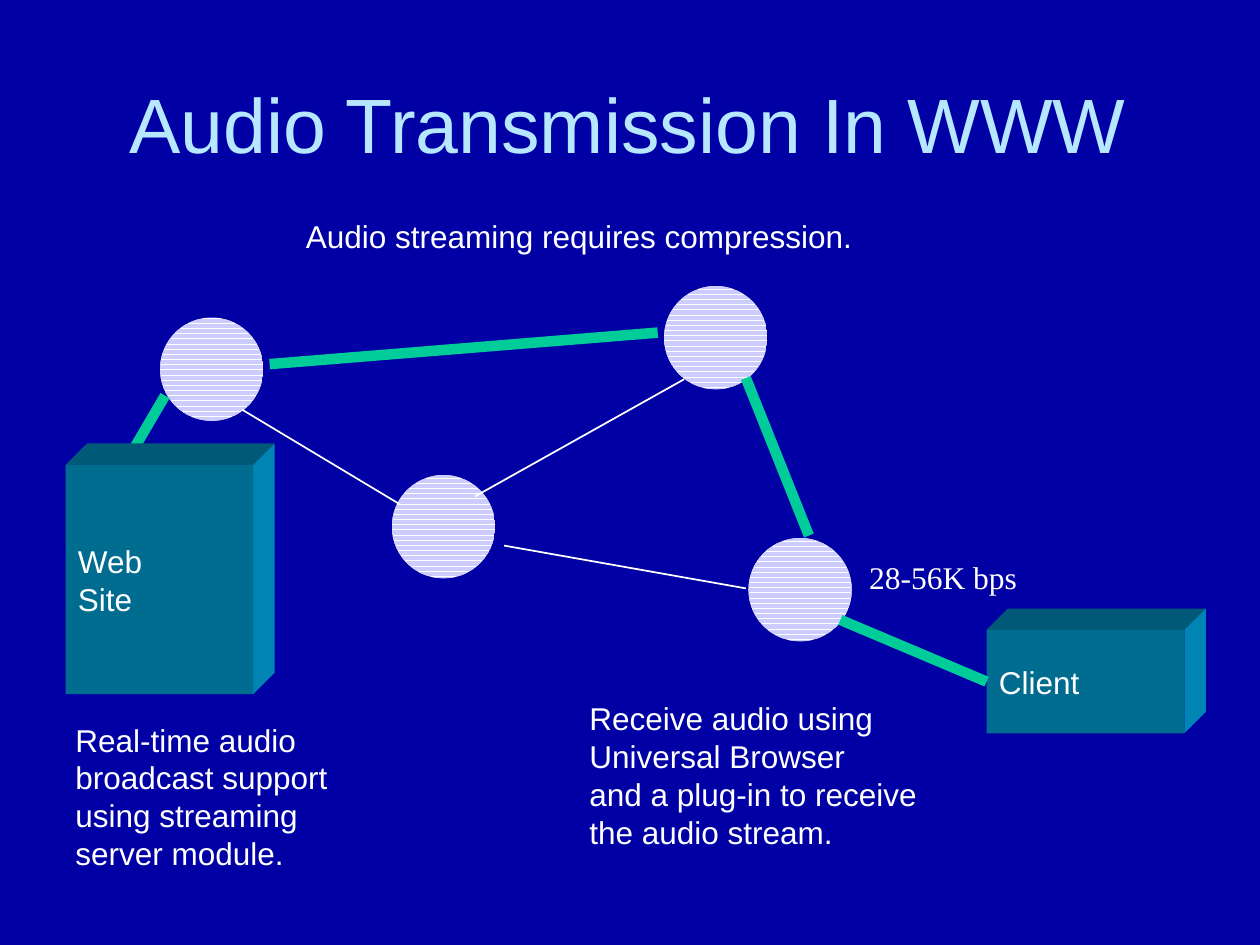
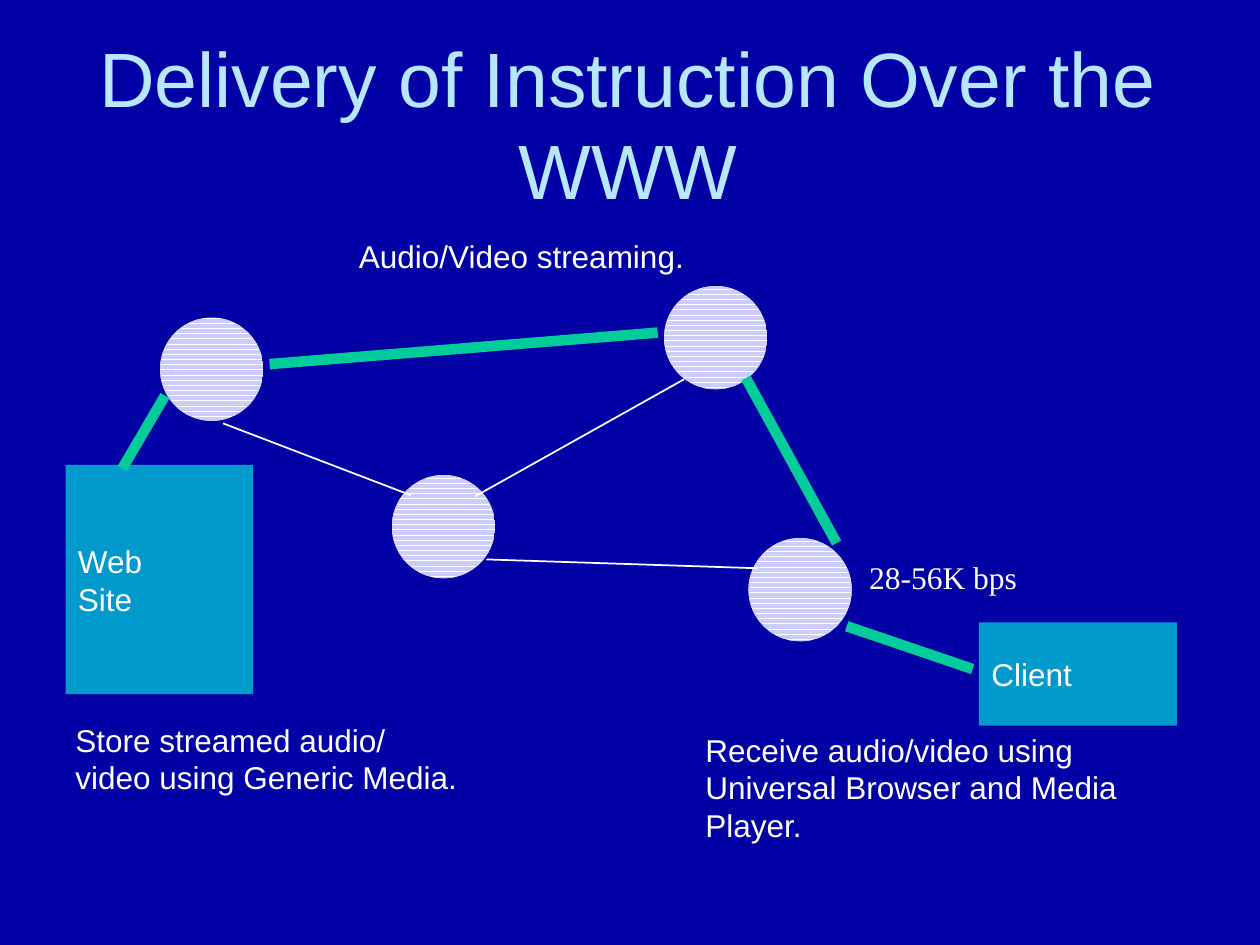
from lxml import etree
from pptx import Presentation
from pptx import util as u
from pptx.dml.color import RGBColor
from pptx.enum import dml, shapes, text
from pptx.oxml.ns import qn

Inches, Pt = u.Inches, u.Pt

# Shared style
NAVY = RGBColor(0x00, 0x00, 0xA4)
SKY = RGBColor(0xB7, 0xE7, 0xFF)
WHITE = RGBColor(0xFF, 0xFF, 0xFF)
LILAC = RGBColor(0xCC, 0xCC, 0xFF)
GREEN = RGBColor(0x00, 0xCC, 0x99)
CYAN = RGBColor(0x00, 0x99, 0xCC)
BLOCK_FRONT = RGBColor(0x00, 0x6C, 0x90)
BLOCK_TOP = RGBColor(0x00, 0x59, 0x77)
BLOCK_SIDE = RGBColor(0x00, 0x84, 0xB4)
SANS, SERIF = "Arial", "Times New Roman"
NODE_SIZE = 0.82
BLOCK_DEPTH = 0.17

# Network parts found on both slides
NODES = [(1.27, 2.52), (3.11, 3.77), (5.27, 2.27), (5.94, 4.27)]
SITE = (0.52, 3.69, 1.49, 1.82)
TOP_ROUTE = ((2.14, 2.89), (5.22, 2.64))
SITE_ROUTE = ((0.97, 3.72), (1.31, 3.14))
MIDDLE_LINK = ((3.77, 3.94), (5.43, 3.01))


class Deck:
    def __init__(self):
        self.prs = Presentation()
        self.prs.slide_width, self.prs.slide_height = Inches(10), Inches(7.5)
        self.slide = None

    def new_slide(self, heading):
        self.slide = self.prs.slides.add_slide(self.prs.slide_layouts[5])
        self.slide.background.fill.solid()
        self.slide.background.fill.fore_color.rgb = NAVY
        title = self.slide.shapes.title
        title.left, title.top = Inches(0.33), Inches(0.25)
        title.width, title.height = Inches(9.31), Inches(1.45)
        self.set_text(title, [heading], 44, SKY, align=text.PP_ALIGN.CENTER)

    def set_text(self, shape, lines, size=18, color=WHITE, font=SANS,
                 align=text.PP_ALIGN.LEFT, anchor=text.MSO_ANCHOR.MIDDLE):
        frame = shape.text_frame
        frame.text = "\n".join(lines)
        frame.word_wrap = True
        frame.auto_size = text.MSO_AUTO_SIZE.NONE
        frame.vertical_anchor = anchor
        for paragraph in frame.paragraphs:
            paragraph.alignment = align
            for run in paragraph.runs:
                run.font.size, run.font.name = Pt(size), font
                run.font.color.rgb = color

    def paint(self, shape, color):
        shape.shadow.inherit = False
        shape.line.fill.background()
        shape.fill.solid()
        shape.fill.fore_color.rgb = color

    def node(self, left, top):
        circle = self.slide.shapes.add_shape(
            shapes.MSO_SHAPE.OVAL, Inches(left), Inches(top),
            Inches(NODE_SIZE), Inches(NODE_SIZE))
        circle.shadow.inherit = False
        circle.line.fill.background()
        circle.fill.patterned()
        circle.fill.pattern = dml.MSO_PATTERN.DARK_HORIZONTAL
        circle.fill.fore_color.rgb = LILAC
        circle.fill.back_color.rgb = WHITE

    def line(self, start, end, color, width):
        ends = [Inches(value) for value in (*start, *end)]
        connector = self.slide.shapes.add_connector(
            shapes.MSO_CONNECTOR.STRAIGHT, *ends)
        connector.line.color.rgb = color
        connector.line.width = Pt(width)
        etree.SubElement(connector._element.spPr, qn("a:effectLst"))
        return connector

    def link(self, start, end):
        return self.line(start, end, WHITE, 1)

    def route(self, start, end):
        return self.line(start, end, GREEN, 6)

    def box(self, place, lines, color=CYAN):
        box = self.slide.shapes.add_shape(
            shapes.MSO_SHAPE.RECTANGLE, *[Inches(value) for value in place])
        self.paint(box, color)
        self.set_text(box, lines)
        return box

    def face(self, points, color):
        corners = [(Inches(x), Inches(y)) for x, y in points]
        builder = self.slide.shapes.build_freeform(*corners[0])
        builder.add_line_segments(corners[1:], close=True)
        self.paint(builder.convert_to_shape(), color)

    def block(self, place, lines):
        left, top, width, height = place
        right, bottom, depth = left + width, top + height, BLOCK_DEPTH
        back_right = (right + depth, top - depth)
        self.face([(left, top), (left + depth, top - depth), back_right,
                   (right, top)], BLOCK_TOP)
        self.face([(right, top), back_right, (right + depth, bottom - depth),
                   (right, bottom)], BLOCK_SIDE)
        return self.box(place, lines, BLOCK_FRONT)

    def note(self, place, lines, font=SANS, anchor=text.MSO_ANCHOR.TOP):
        note = self.slide.shapes.add_textbox(*[Inches(value) for value in place])
        self.set_text(note, lines, font=font, anchor=anchor)

    def network(self, links, exit_route):
        for place in NODES:
            self.node(*place)
        self.route(*TOP_ROUTE)
        self.link(*MIDDLE_LINK)
        for ends in links:
            self.link(*ends)
        self.route(*exit_route)
        self.note((6.8, 4.33, 1.77, 0.5), ["28-56K bps"], SERIF,
                  text.MSO_ANCHOR.MIDDLE)


def audio_slide(deck):
    deck.new_slide("Audio Transmission In WWW")
    deck.network(links=[((4, 4.33), (5.92, 4.67)), ((1.92, 3.25), (3.17, 4))],
                 exit_route=((5.92, 3), (6.42, 4.25)))
    # Solid blocks and the routes to them
    client = deck.block((7.83, 5, 1.57, 0.82), ["Client"])
    deck.route(*SITE_ROUTE)
    deck.route((6.67, 4.92), (7.83, 5.41)).end_connect(client, 1)
    deck.block(SITE, ["Web", "Site"])
    # Captions
    deck.note((2.33, 1.67, 6.04, 0.5), ["Audio streaming requires compression."])
    deck.note((0.5, 5.67, 2.88, 1.69),
              ["Real-time audio", "broadcast support", "using streaming",
               "server module."])
    deck.note((4.58, 5.5, 3.77, 1.69),
              ["Receive audio using", "Universal Browser",
               "and a plug-in to receive", "the audio stream."])


def delivery_slide(deck):
    deck.new_slide("Delivery of Instruction Over the WWW")
    deck.network(links=[((3.86, 4.44), (6.01, 4.51)),
                        ((1.77, 3.36), (3.26, 3.93))],
                 exit_route=((5.92, 3), (6.64, 4.31)))
    # Flat boxes and the routes to them
    deck.box((7.77, 4.94, 1.57, 0.82), ["Client"])
    deck.box(SITE, ["Web", "Site"])
    deck.route(*SITE_ROUTE)
    deck.route((6.72, 4.97), (7.72, 5.31))
    # Captions
    deck.note((2.75, 1.83, 3.87, 0.5), ["Audio/Video streaming."])
    deck.note((0.5, 5.67, 4.55, 0.9),
              ["Store streamed audio/", "video using Generic Media."])
    deck.note((5.5, 5.75, 4.4, 1.3),
              ["Receive audio/video using", "Universal Browser and Media",
               "Player."])


def main():
    deck = Deck()
    audio_slide(deck)
    delivery_slide(deck)
    deck.prs.save("out.pptx")


if __name__ == "__main__":
    main()
